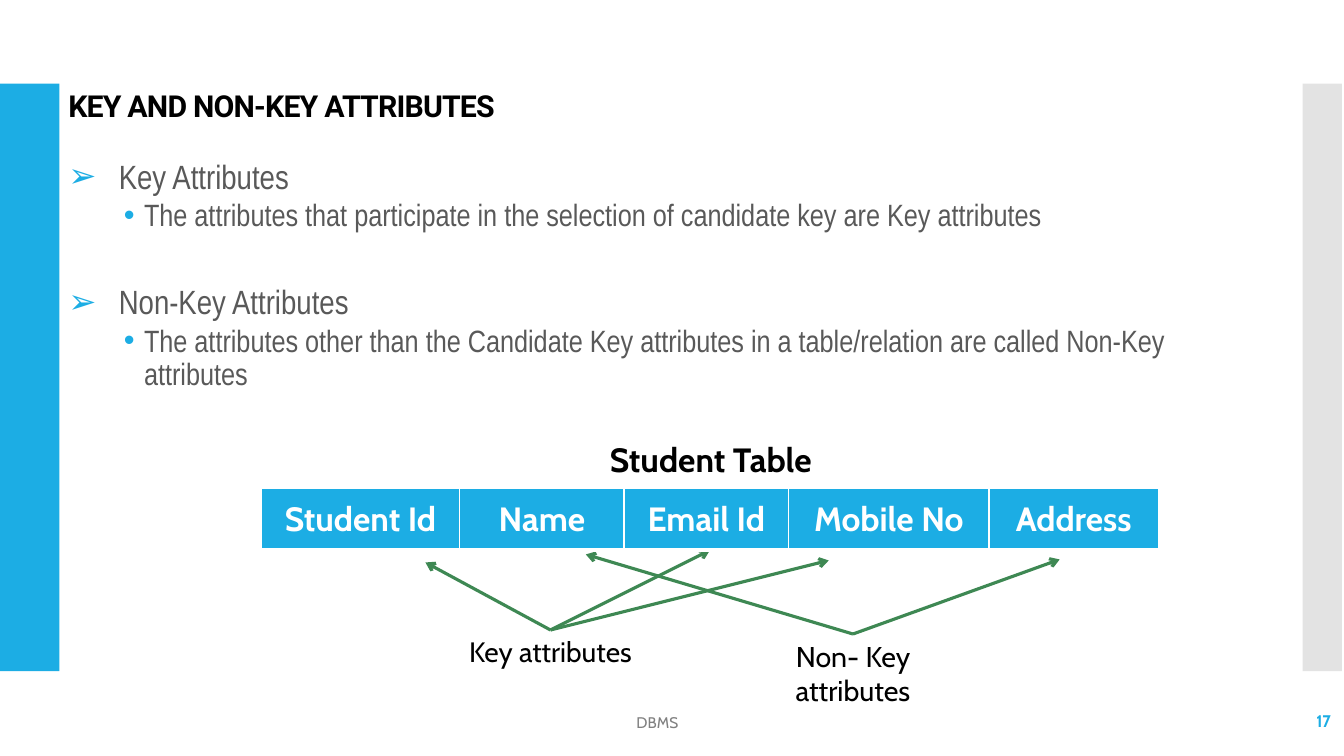
from lxml import etree
from pptx import Presentation
from pptx.dml.color import RGBColor
from pptx.enum.shapes import MSO_CONNECTOR as Link, MSO_SHAPE as Form
from pptx.enum.text import MSO_ANCHOR as Anchor, PP_ALIGN as Align
from pptx.oxml.ns import qn
from pptx.util import Inches, Pt

BLUE = RGBColor(0x1C, 0xAD, 0xE4)
PALE = RGBColor(0xE3, 0xE3, 0xE3)
GREEN = RGBColor(0x3E, 0x88, 0x53)
DARK = RGBColor(0x59, 0x59, 0x59)
GREY = RGBColor(0x80, 0x80, 0x80)
BLACK = RGBColor(0, 0, 0)
WHITE = RGBColor(255, 255, 255)
WIDE, HIGH = 13.33, 7.5

# Content
TITLE = "KEY AND NON-KEY ATTRIBUTES"
POINTS = [
    ("Key Attributes",
     "The attributes that participate in the selection of candidate key are Key attributes"),
    ("Non-Key Attributes",
     "The attributes other than the Candidate Key attributes in a table/relation "
     "are called Non-Key attributes"),
]
CAPTION = "Student Table"
COLUMNS = [("Student Id", 1.97), ("Name", 1.63), ("Email Id", 1.63),
           ("Mobile No", 1.99), ("Address", 1.68)]
# Label, text size, box width, arrow start, arrow tips
GROUPS = [
    ("Key attributes", 20, 4, (5.46, 6.25), [(7.04, 5.46), (8.22, 5.56), (4.22, 5.58)]),
    ("Non- Key attributes", 20.4, 2.47, (8.46, 6.29), [(5.81, 5.5), (10.51, 5.55)]),
]
FOOTER, NUMBER = "DBMS", "17"

# Levels: size, left margin, hanging indent, bullet, space before, space after
LEVELS = [(24, 0.5, 0.5, "➢", 5, 0), (22, 0.75, 0.2, "•", 2.5, 2.5)]
GAP = 35  # space before a new point

deck = Presentation()
deck.slide_width, deck.slide_height = Inches(WIDE), Inches(HIGH)
slide = deck.slides.add_slide(deck.slide_layouts[6])
shapes = slide.shapes


def sub(parent, tag, **attrs):
    return etree.SubElement(parent, qn(tag), attrs)


def write(para, text, size=20, font="Cabin", color=BLACK, bold=False,
          align=Align.LEFT, track=0):
    para.alignment = align
    run = para.add_run()
    run.text = text
    face = run.font
    face.name, face.size, face.bold = font, Pt(size), bold
    face.color.rgb = color
    if track:
        face._element.set("spc", str(track))


def box(left, top, width, height, anchor=Anchor.TOP):
    frame = shapes.add_textbox(*map(Inches, (left, top, width, height))).text_frame
    frame.word_wrap = True
    frame.vertical_anchor = anchor
    return frame


def label(text, *place, anchor=Anchor.TOP, **style):
    para = box(*place, anchor=anchor).paragraphs[0]
    write(para, text, **style)
    return para


def band(left, width, color):
    bar = shapes.add_shape(Form.RECTANGLE, *map(Inches, (left, 0.83, width, 5.83)))
    bar.shadow.inherit = False
    bar.fill.solid()
    bar.fill.fore_color.rgb = color
    bar.line.fill.background()


def arrow(start, tip):
    line = shapes.add_connector(Link.STRAIGHT, *map(Inches, start + tip))
    line.line.color.rgb, line.line.width = GREEN, Pt(2.25)
    sub(line.line._get_or_add_ln(), "a:tailEnd", type="arrow")
    sub(line._element.spPr, "a:effectLst")


def bullet(para, margin, hang, mark):
    props = para._p.get_or_add_pPr()
    props.set("marL", str(Inches(margin)))
    props.set("indent", str(-Inches(hang)))
    sub(sub(props, "a:buClr"), "a:srgbClr", val=str(BLUE))
    sub(props, "a:buFont", typeface="Arial")
    sub(props, "a:buChar", char=mark)


# Side bands and title
band(0, 0.59, BLUE)
band(12.92, 0.39, PALE)
label(TITLE, 0.58, 0.86, 10.44, 0.4, size=21.6, font="Roboto", bold=True,
      track=-60).line_spacing = 0.9

# Bulleted points
body = box(0.58, 1.54, 11.62, 2.6)
for row, point in enumerate(POINTS):
    for level, text in enumerate(point):
        size, margin, hang, mark, before, after = LEVELS[level]
        first = row == level == 0
        para = body.paragraphs[0] if first else body.add_paragraph()
        para.level, para.line_spacing = level, 0.9
        if not first:
            para.space_before = Pt(before if level else GAP)
        para.space_after = Pt(after)
        bullet(para, margin, hang, mark)
        write(para, text, size=size, font="Arial Narrow", color=DARK)

# Arrows and their labels
label(CAPTION, 5.81, 4.3, 2.48, 0.52, size=24, bold=True, align=Align.CENTER)
for text, size, width, start, tips in GROUPS:
    for tip in tips:
        arrow(start, tip)
    label(text, start[0] - width / 2, start[1], width, 0.48, size=size, align=Align.CENTER)

# Student table
total = sum(width for _, width in COLUMNS)
grid = shapes.add_table(1, len(COLUMNS), *map(Inches, (2.59, 4.85, total, 0.61))).table
for col, (name, width) in enumerate(COLUMNS):
    grid.columns[col].width = Inches(width)
    cell = grid.cell(0, col)
    cell.vertical_anchor = Anchor.MIDDLE
    cell.margin_left = cell.margin_right = Inches(0.14)
    props = cell._tc.get_or_add_tcPr()
    for side, weight in zip("LRTB", (1, 1, 1, 3)):
        edge = sub(props, "a:ln" + side, w=str(Pt(weight)))
        sub(sub(edge, "a:solidFill"), "a:srgbClr", val=str(WHITE))
    cell.fill.solid()
    cell.fill.fore_color.rgb = BLUE
    write(cell.text_frame.paragraphs[0], name, size=24, color=WHITE, bold=True,
          align=Align.CENTER)

# Footer
label(FOOTER, 3.29, 6.97, 6.46, 0.4, anchor=Anchor.MIDDLE, size=11, color=GREY,
      align=Align.CENTER)
label(NUMBER, 11.63, 6.95, 1.67, 0.4, anchor=Anchor.MIDDLE, size=12, color=BLUE,
      bold=True, align=Align.RIGHT)

deck.save("out.pptx")
